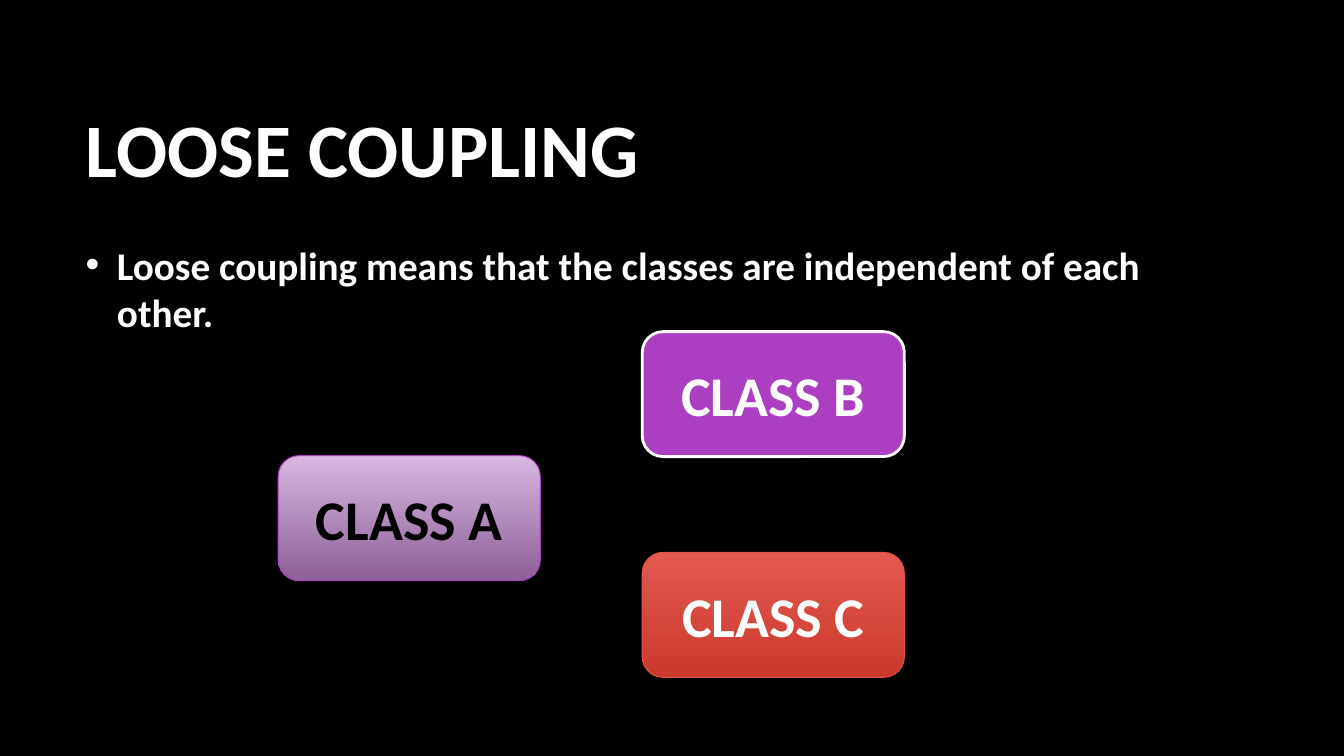
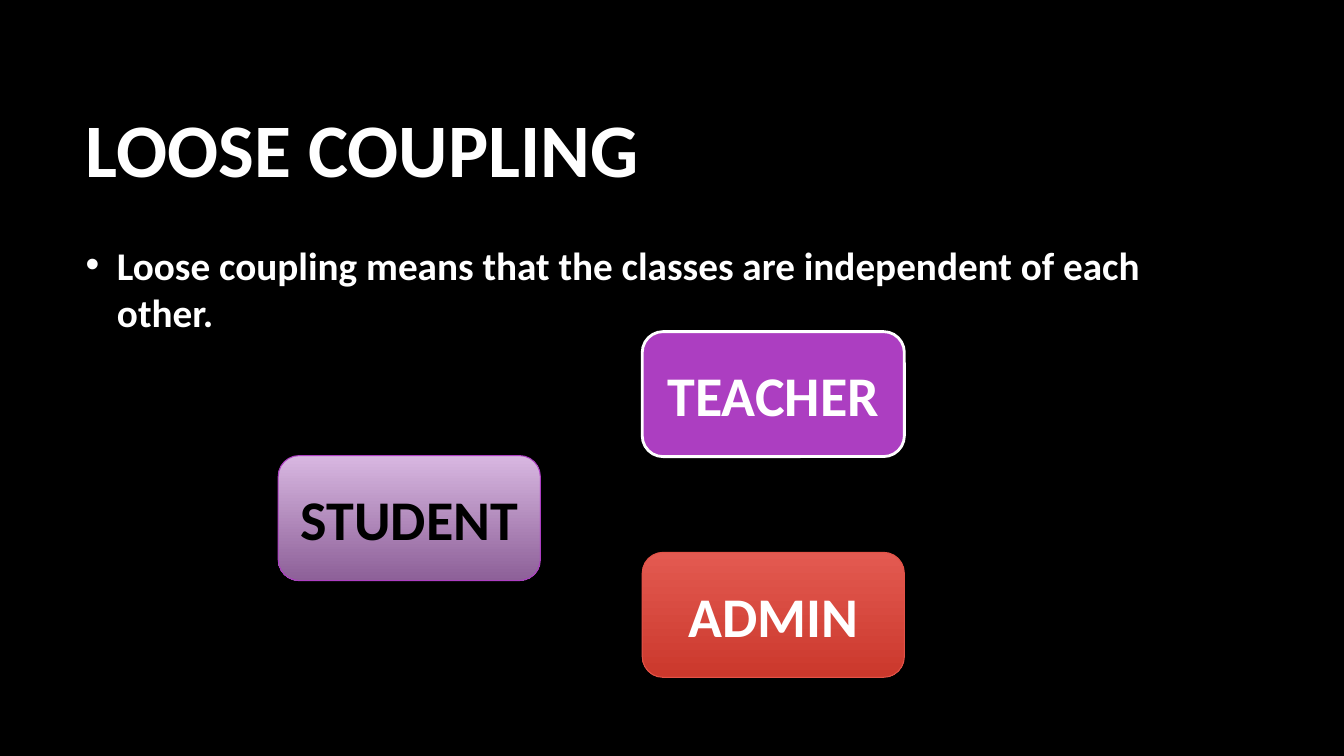
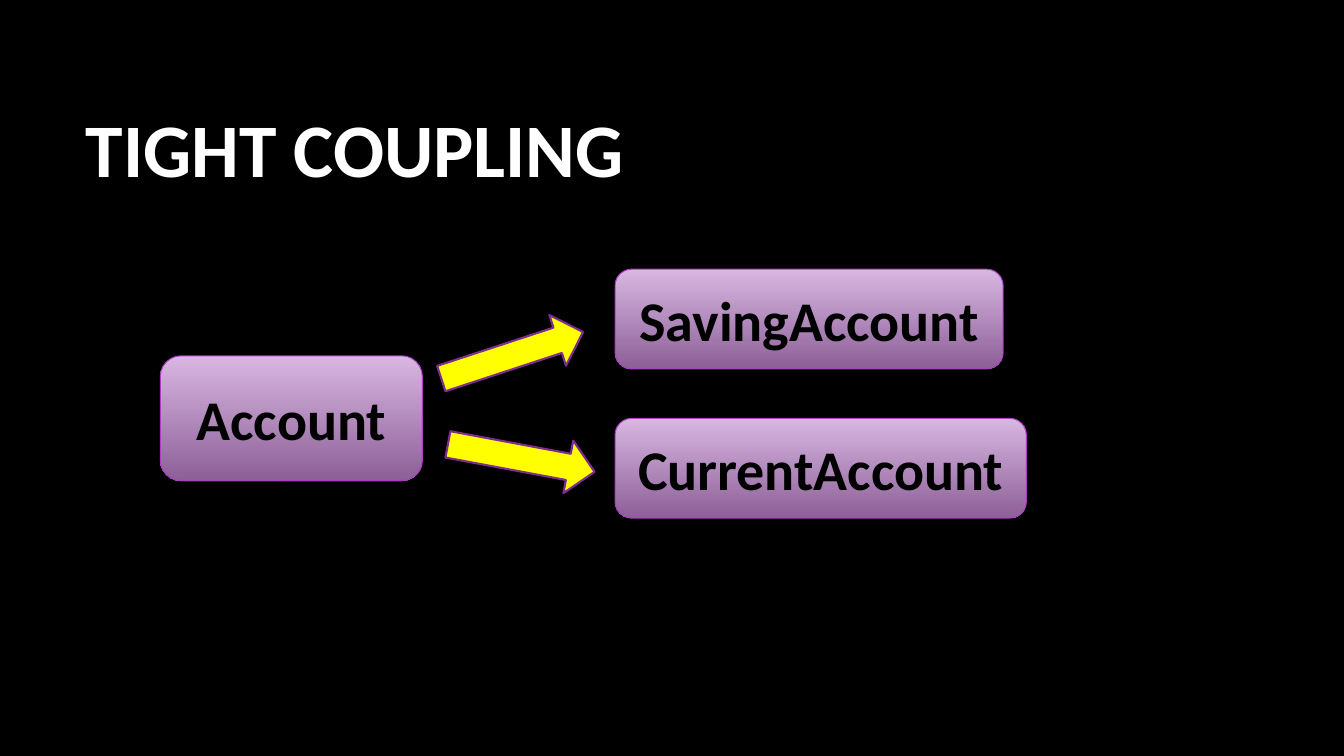
import pptx
import pptx.util
import pptx.dml.color
import pptx.enum.shapes
import pptx.enum.text

Inches = pptx.util.Inches
Pt = pptx.util.Pt
RGBColor = pptx.dml.color.RGBColor
MSO_SHAPE = pptx.enum.shapes.MSO_SHAPE
PP_ALIGN = pptx.enum.text.PP_ALIGN
MSO_ANCHOR = pptx.enum.text.MSO_ANCHOR
MSO_AUTO_SIZE = pptx.enum.text.MSO_AUTO_SIZE

FONT = "Calibri"
BLACK = RGBColor(0x00, 0x00, 0x00)
WHITE = RGBColor(0xFF, 0xFF, 0xFF)
PURPLE = RGBColor(0xAC, 0x3E, 0xC1)
LILAC = RGBColor(0xD8, 0xB7, 0xE1)
MAUVE = RGBColor(0x8D, 0x60, 0x98)
PLUM = RGBColor(0x7F, 0x2E, 0x8F)
CORAL = RGBColor(0xE3, 0x5A, 0x51)
BRICK = RGBColor(0xCB, 0x38, 0x2C)
RED = RGBColor(0xE2, 0x52, 0x47)
YELLOW = RGBColor(0xFF, 0xFF, 0x00)

# Style of a class box: fill colours from top to bottom, line, line width, text
SOFT = ((LILAC, MAUVE), PURPLE, 0.75, BLACK)
SOLID = ((PURPLE,), WHITE, 2, WHITE)
STRONG = ((CORAL, BRICK), RED, 0.75, WHITE)

CLASS_W, CLASS_H = 2.6, 1.24
SUBCLASS_H = 0.99
ARROW_W, ARROW_H = 1.48, 0.53
MEANING = "Loose coupling means that the classes are independent of each other."


def place(sp, left, top, width, height):
    sp.left, sp.top = Inches(left), Inches(top)
    sp.width, sp.height = Inches(width), Inches(height)


def write(tf, text, size, color, align, anchor):
    tf.auto_size = MSO_AUTO_SIZE.NONE
    tf.vertical_anchor = anchor
    p = tf.paragraphs[0]
    p.alignment = align
    r = p.add_run()
    r.text = text
    r.font.name, r.font.size, r.font.bold = FONT, Pt(size), True
    r.font.color.rgb = color
    return p


def paint(sp, colors, line, line_width):
    sp.shadow.inherit = False
    if len(colors) == 1:
        sp.fill.solid()
        sp.fill.fore_color.rgb = colors[0]
    else:
        sp.fill.gradient()
        sp.fill.gradient_angle = 270
        for stop, color in zip(sp.fill.gradient_stops, colors):
            stop.color.rgb = color
    sp.line.color.rgb = line
    sp.line.width = Pt(line_width)


def add_titled_slide(prs, layout, title):
    slide = prs.slides.add_slide(prs.slide_layouts.get_by_name(layout))
    sp = slide.shapes.title
    place(sp, 0.75, 0.67, 11.08, 1.59)
    write(sp.text_frame, title, 54, WHITE, PP_ALIGN.LEFT, MSO_ANCHOR.MIDDLE)
    return slide


def add_bullet(slide, text):
    sp = slide.placeholders[1]
    place(sp, 0.75, 2.34, 11.08, 3.99)
    p = write(sp.text_frame, text, 28, WHITE, PP_ALIGN.LEFT, MSO_ANCHOR.TOP)
    p.space_before, p.space_after = Pt(0), Pt(10)
    pPr = p._p.get_or_add_pPr()
    pPr.set("marL", str(Inches(0.31)))
    pPr.set("indent", str(Inches(-0.31)))


def add_class(slide, name, left, top, style, width=CLASS_W, height=CLASS_H):
    colors, line, line_width, text_color = style
    sp = slide.shapes.add_shape(
        MSO_SHAPE.ROUNDED_RECTANGLE,
        Inches(left), Inches(top), Inches(width), Inches(height))
    paint(sp, colors, line, line_width)
    write(sp.text_frame, name, 40, text_color, PP_ALIGN.CENTER, MSO_ANCHOR.MIDDLE)


def add_arrow(slide, left, top, rotation):
    sp = slide.shapes.add_shape(
        MSO_SHAPE.RIGHT_ARROW,
        Inches(left), Inches(top), Inches(ARROW_W), Inches(ARROW_H))
    sp.rotation = rotation
    paint(sp, (YELLOW,), PLUM, 1.5)


def add_separate_classes(slide, names, left, top):
    """One class on the left, two on the right, with no links."""
    right = left + 3.61
    places = ((left, top + 1.23, SOFT), (right, top, SOLID), (right, top + 2.19, STRONG))
    for name, (x, y, style) in zip(names, places):
        add_class(slide, name, x, y, style)


def add_linked_classes(slide, left, top):
    """A class with an arrow to each of its two subclasses."""
    add_class(slide, "Account", left, top + 0.86, SOFT)
    right = left + 4.51
    add_class(slide, "SavingAccount", right, top, SOFT, 3.85, SUBCLASS_H)
    add_class(slide, "CurrentAccount", right, top + 1.48, SOFT, 4.08, SUBCLASS_H)
    add_arrow(slide, left + 2.75, top + 0.59, 341.8)
    add_arrow(slide, left + 2.84, top + 1.61, 10.6)


def main():
    prs = pptx.Presentation()
    prs.slide_width, prs.slide_height = Inches(13.33), Inches(7.5)
    background = prs.slide_master.background.fill
    background.solid()
    background.fore_color.rgb = BLACK

    for names in (("CLASS A", "CLASS B", "CLASS C"), ("STUDENT", "TEACHER", "ADMIN")):
        slide = add_titled_slide(prs, "Title and Content", "LOOSE COUPLING")
        add_bullet(slide, MEANING)
        add_separate_classes(slide, names, 2.76, 3.29)

    slide = add_titled_slide(prs, "Title Only", "TIGHT COUPLING")
    add_linked_classes(slide, 1.59, 2.67)

    prs.save("out.pptx")


if __name__ == "__main__":
    main()
